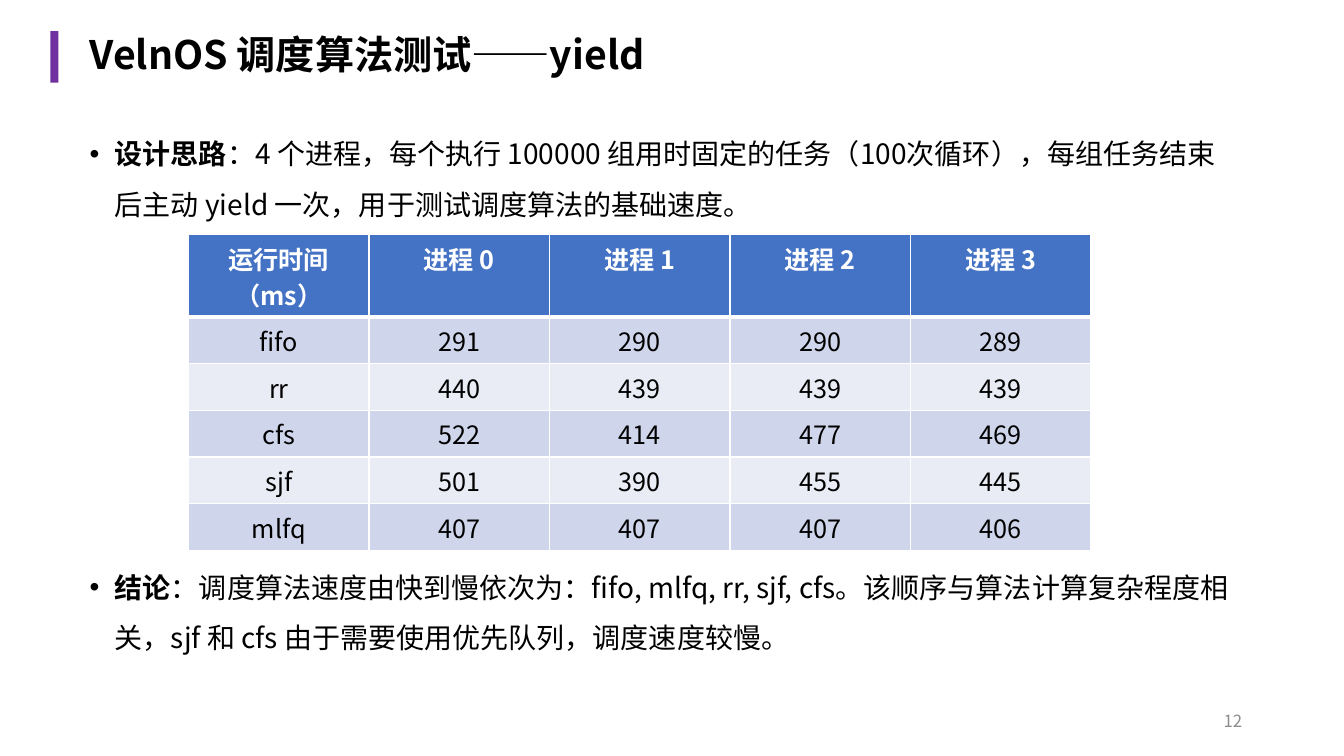
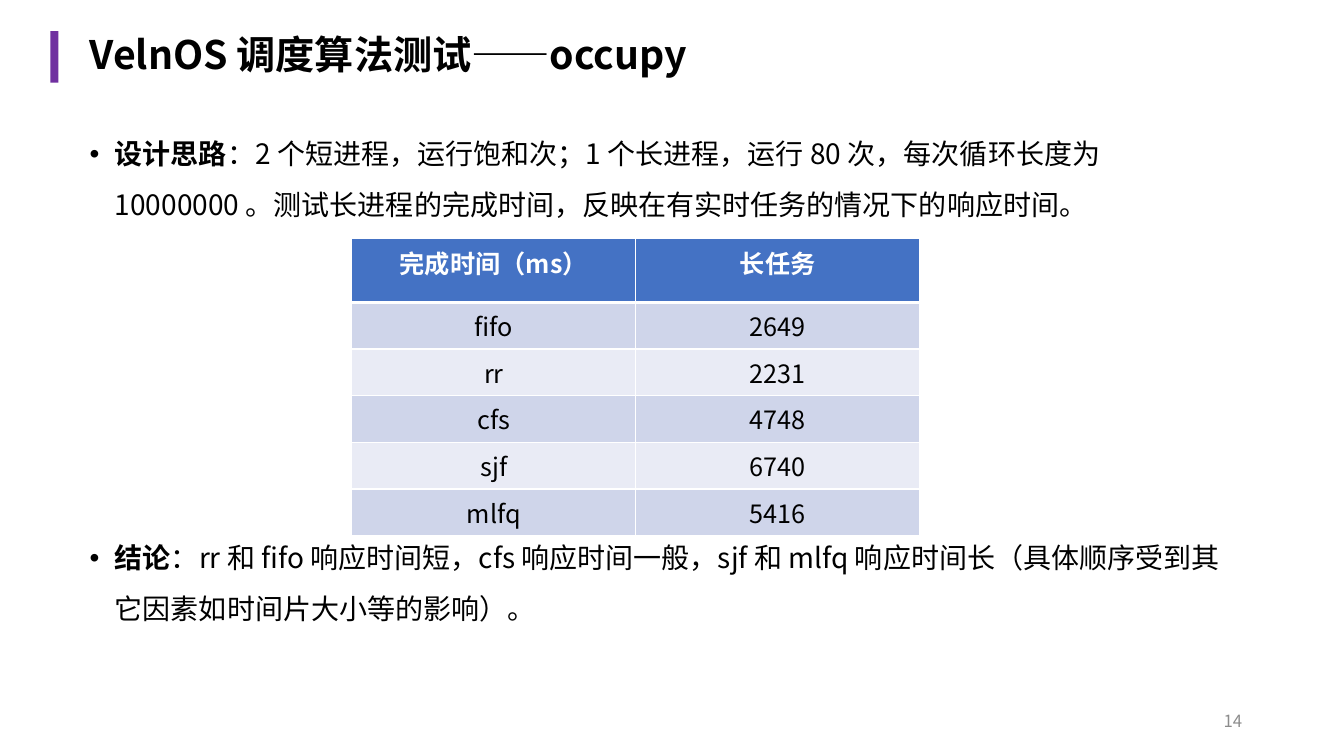
from dataclasses import dataclass

from lxml.etree import SubElement
from pptx import Presentation
from pptx.dml.color import RGBColor
from pptx.enum.shapes import MSO_SHAPE
from pptx.enum.text import MSO_ANCHOR, PP_ALIGN
from pptx.oxml.ns import qn
from pptx.util import Inches, Pt


@dataclass(frozen=True)
class Theme:
    """Colours, type sizes and line widths shared by the slides."""
    font: str = "Noto Sans CJK SC"
    ink: str = "000000"
    white: str = "FFFFFF"
    accent: str = "7030A0"
    muted: str = "8C8C8C"
    header: str = "4472C4"
    bands: tuple = ("CFD5EA", "E9EBF5")
    title_size: int = 28
    body_size: int = 20
    table_size: int = 18
    number_size: int = 12
    thin: int = 1
    thick: int = 3


@dataclass(frozen=True)
class Box:
    """An area in percent of the slide's width and height."""
    left: float
    top: float
    width: float
    height: float

    def place(self):
        """Return left, top, width and height as slide lengths."""
        return (int(WIDTH * self.left / 100), int(HEIGHT * self.top / 100),
                int(WIDTH * self.width / 100), int(HEIGHT * self.height / 100))


THEME = Theme()
WIDTH, HEIGHT = Inches(13.33), Inches(7.5)
MARGIN, TEXT_WIDTH, TEXT_HEIGHT = 5.93, 86.27, 14.67
ACCENT_BOX = Box(3.75, 4.13, 0.6, 6.8)
DESIGN_BOX = Box(MARGIN, 15.2, TEXT_WIDTH, TEXT_HEIGHT)
NUMBER_BOX = Box(70.67, 92.67, 22.5, 5.33)
ROW_HEIGHT = 6.17
INDENT = Inches(0.25)


def write(para, text, size, color=THEME.ink, bold=False):
    """Append one formatted span to a paragraph."""
    span = para.add_run()
    span.text = text
    span.font.name, span.font.size, span.font.bold = THEME.font, Pt(size), bold
    span.font.color.rgb = RGBColor.from_string(color)
    latin = span.font._element.find(qn("a:latin"))
    east_asian = latin.makeelement(qn("a:ea"), {"typeface": THEME.font})
    latin.addnext(east_asian)


def add_text(page, box, anchor=MSO_ANCHOR.TOP):
    """Add a wrapping text box and return its first paragraph."""
    frame = page.shapes.add_textbox(*box.place()).text_frame
    frame.word_wrap = True
    frame.vertical_anchor = anchor
    return frame.paragraphs[0]


def add_title(page, box, text):
    """Add the accent bar and the title beside it."""
    bar = page.shapes.add_shape(MSO_SHAPE.RECTANGLE, *ACCENT_BOX.place())
    bar.shadow.inherit = False
    bar.fill.solid()
    bar.fill.fore_color.rgb = RGBColor.from_string(THEME.accent)
    bar.line.fill.background()
    para = add_text(page, box, MSO_ANCHOR.MIDDLE)
    para.line_spacing = 0.9
    write(para, text, THEME.title_size, bold=True)


def add_point(page, box, label, text):
    """Add a bulleted paragraph that opens with a bold label."""
    para = add_text(page, box)
    para.line_spacing, para.space_before = 1.5, Pt(10)
    properties = para._p.get_or_add_pPr()
    properties.set("marL", str(INDENT))
    properties.set("indent", str(-INDENT))
    SubElement(properties, qn("a:buFont"), typeface="Arial")
    SubElement(properties, qn("a:buChar"), char="•")
    write(para, label, THEME.body_size, bold=True)
    write(para, text, THEME.body_size)


def add_number(page, box, number):
    """Add the page number, aligned right."""
    para = add_text(page, box, MSO_ANCHOR.MIDDLE)
    para.alignment = PP_ALIGN.RIGHT
    write(para, str(number), THEME.number_size, color=THEME.muted)


def set_borders(cell, top, bottom):
    """Draw white borders; top and bottom widths are in points."""
    properties = cell._tc.get_or_add_tcPr()
    widths = {"lnL": THEME.thin, "lnR": THEME.thin, "lnT": top, "lnB": bottom}
    for side, width in widths.items():
        line = SubElement(properties, qn("a:" + side), w=str(Pt(width)))
        fill = SubElement(line, qn("a:solidFill"))
        SubElement(fill, qn("a:srgbClr"), val=THEME.white)


def add_results(page, box, rows):
    """Add a banded table; the header takes the height the body rows leave."""
    body_count, column_count = len(rows) - 1, len(rows[0])
    table = page.shapes.add_table(len(rows), column_count, *box.place()).table
    header_height = box.height - body_count * ROW_HEIGHT
    for row_index, values in enumerate(rows):
        is_header = row_index == 0
        share = header_height if is_header else ROW_HEIGHT
        table.rows[row_index].height = int(HEIGHT * share / 100)
        band = THEME.header if is_header else THEME.bands[(row_index - 1) % 2]
        for column_index, value in enumerate(values):
            cell = table.cell(row_index, column_index)
            set_borders(cell, THEME.thick if row_index == 1 else THEME.thin,
                        THEME.thick if is_header else THEME.thin)
            cell.fill.solid()
            cell.fill.fore_color.rgb = RGBColor.from_string(band)
            para = cell.text_frame.paragraphs[0]
            para.alignment = PP_ALIGN.CENTER
            write(para, str(value), THEME.table_size, bold=is_header,
                  color=THEME.white if is_header else THEME.ink)


def add_test_page(deck, name, number, design, rows, conclusion,
                  title_width, table_box, conclusion_top):
    """Build one scheduler test slide: design, results and conclusion."""
    page = deck.slides.add_slide(deck.slide_layouts[6])
    add_title(page, Box(MARGIN, 1.87, title_width, 11.33),
              "VelnOS 调度算法测试——" + name)
    add_point(page, DESIGN_BOX, "设计思路", design)
    add_number(page, NUMBER_BOX, number)
    add_results(page, table_box, rows)
    add_point(page, Box(MARGIN, conclusion_top, TEXT_WIDTH, TEXT_HEIGHT),
              "结论", conclusion)


def main():
    """Build and save the deck."""
    deck = Presentation()
    deck.slide_width, deck.slide_height = WIDTH, HEIGHT
    add_test_page(
        deck, "yield", 12,
        design="：4 个进程，每个执行 100000 组用时固定的任务（100次循环），"
               "每组任务结束后主动 yield 一次，用于测试调度算法的基础速度。",
        rows=[("运行时间（ms）", "进程 0", "进程 1", "进程 2", "进程 3"),
              ("fifo", 291, 290, 290, 289),
              ("rr", 440, 439, 439, 439),
              ("cfs", 522, 414, 477, 469),
              ("sjf", 501, 390, 455, 445),
              ("mlfq", 407, 407, 407, 406)],
        conclusion="：调度算法速度由快到慢依次为：fifo, mlfq, rr, sjf, cfs。"
                   "该顺序与算法计算复杂程度相关，sjf 和 cfs "
                   "由于需要使用优先队列，调度速度较慢。",
        title_width=49, table_box=Box(14.03, 31.07, 67.14, 41.74),
        conclusion_top=72.53)
    add_test_page(
        deck, "occupy", 14,
        design="：2 个短进程，运行饱和次；1 个长进程，运行 80 次，"
               "每次循环长度为 10000000 。测试长进程的完成时间，"
               "反映在有实时任务的情况下的响应时间。",
        rows=[("完成时间（ms）", "长任务"), ("fifo", 2649), ("rr", 2231),
              ("cfs", 4748), ("sjf", 6740), ("mlfq", 5416)],
        conclusion="：rr 和 fifo 响应时间短，cfs 响应时间一般，"
                   "sjf 和 mlfq 响应时间长"
                   "（具体顺序受到其它因素如时间片大小等的影响）。",
        title_width=52.14, table_box=Box(26.18, 31.6, 42.24, 39.25),
        conclusion_top=68.67)
    deck.save("out.pptx")


main()
